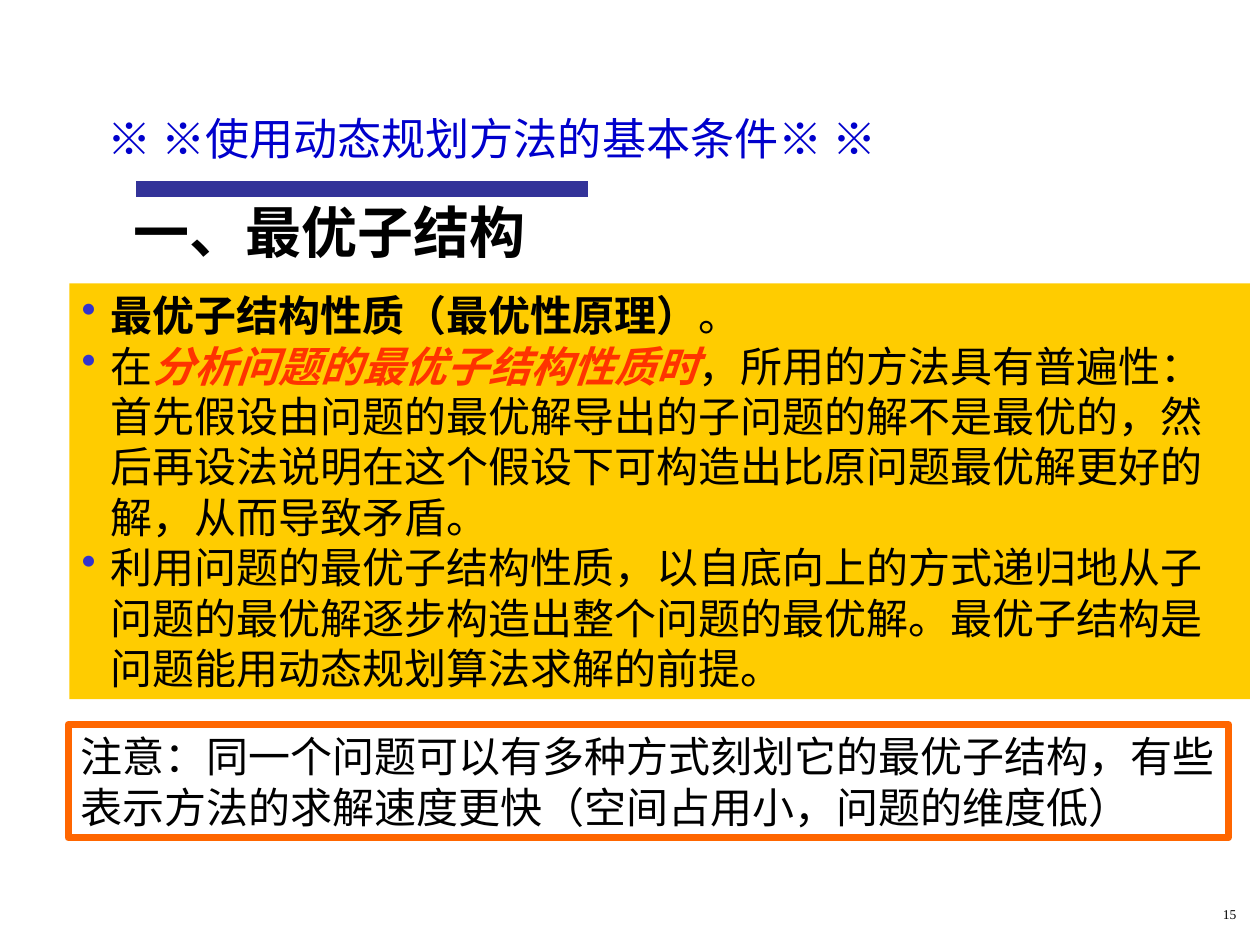
"""Build a slide on optimal substructure in dynamic programming."""
from dataclasses import dataclass, field
from typing import Optional

from lxml import etree
from pptx import Presentation, util as u
from pptx.dml.color import RGBColor
from pptx.enum import shapes, text
from pptx.oxml import ns

BLACK = RGBColor(0, 0, 0)
WHITE = RGBColor(255, 255, 255)
NAVY = RGBColor(0x33, 0x33, 0x99)
BLUE = RGBColor(0, 0, 0xCC)
DOT = RGBColor(0x33, 0x33, 0xCC)
GOLD = RGBColor(0xFF, 0xCC, 0)
RED = RGBColor(0xFF, 0x33, 0)
ORANGE = RGBColor(0xFF, 0x66, 0)
HANG = 0.23


@dataclass
class Run:
    words: str
    color: RGBColor = BLACK
    bold: bool = False
    italic: bool = False


@dataclass
class Block:
    area: tuple[float, float, float, float]
    paras: list[list[Run]]
    size: float = 24
    fill: Optional[RGBColor] = None
    line: Optional[RGBColor] = None
    bullet: bool = False
    font: str = "Arial"
    para: dict = field(default_factory=dict)
    frame: dict = field(default_factory=dict)


TITLE = Block(
    (0.75, 0.85, 9, 0.57),
    [[Run("※ ※使用动态规划方法的基本条件※ ※", BLUE)]],
    size=25.2,
    para={"line_spacing": 0.8},
    frame={"vertical_anchor": text.MSO_ANCHOR.MIDDLE},
)
GROW = {"auto_size": text.MSO_AUTO_SIZE.SHAPE_TO_FIT_TEXT}
BLOCKS = [
    Block(
        (0.96, 1.58, 3.75, 0.58),
        [[Run("一、最优子结构", bold=True)]],
        size=32,
        para={"line_spacing": 0.9},
    ),
    Block(
        (0.55, 2.25, 9.37, 3.3),
        [
            [Run("最优子结构性质（最优性原理）", bold=True), Run("。")],
            [
                Run("在"),
                Run("分析问题的最优子结构性质时", RED, True, True),
                Run("，所用的方法具有普遍性：首先假设由问题的最优解导出的子问题的解"
                    "不是最优的，然后再设法说明在这个假设下可构造出比原问题最优解"
                    "更好的解，从而导致矛盾。"),
            ],
            [Run("利用问题的最优子结构性质，以自底向上的方式递归地从子问题的最优解"
                 "逐步构造出整个问题的最优解。最优子结构是问题能用动态规划算法"
                 "求解的前提。")],
        ],
        fill=GOLD,
        bullet=True,
        frame=GROW,
    ),
    Block(
        (0.54, 5.75, 9.21, 0.9),
        [[Run("注意：同一个问题可以有多种方式刻划它的最优子结构，有些表示方法的"
              "求解速度更快（空间占用小，问题的维度低）")]],
        fill=WHITE,
        line=ORANGE,
        frame=GROW,
    ),
    Block(
        (7.83, 7.17, 2.08, 0.25),
        [[Run("15")]],
        size=7.7,
        font="Times New Roman",
        para={"alignment": text.PP_ALIGN.RIGHT, "line_spacing": 0.8},
    ),
]


def put(item, values: dict) -> None:
    """Set each named attribute on the item."""
    for name, value in values.items():
        setattr(item, name, value)


def add_dot(para) -> None:
    """Give the paragraph a hanging coloured bullet."""
    props = para._p.get_or_add_pPr()
    props.set("marL", str(u.Inches(HANG)))
    props.set("indent", str(-u.Inches(HANG)))
    tint = etree.SubElement(props, ns.qn("a:buClr"))
    etree.SubElement(tint, ns.qn("a:srgbClr")).set("val", str(DOT))
    etree.SubElement(props, ns.qn("a:buChar")).set("char", "•")


def write(frame, block: Block) -> None:
    """Fill the text frame with the block's paragraphs."""
    put(frame, {
        "word_wrap": True,
        "auto_size": text.MSO_AUTO_SIZE.NONE,
        "vertical_anchor": text.MSO_ANCHOR.TOP,
        "margin_left": u.Inches(0.1),
        "margin_right": u.Inches(0.1),
        "margin_top": u.Inches(0.05),
        "margin_bottom": u.Inches(0.05),
        **block.frame,
    })
    for num, runs in enumerate(block.paras):
        para = frame.add_paragraph() if num else frame.paragraphs[0]
        if block.bullet:
            add_dot(para)
        put(para, {"alignment": text.PP_ALIGN.LEFT, **block.para})
        for part in runs:
            run = para.add_run()
            run.text = part.words
            put(run.font, {
                "name": block.font,
                "size": u.Pt(block.size),
                "bold": part.bold,
                "italic": part.italic,
            })
            run.font.color.rgb = part.color


def add_block(slide, block: Block) -> None:
    """Draw a filled box, or a plain text box if there is no fill."""
    area = [u.Inches(x) for x in block.area]
    if block.fill is None:
        shape = slide.shapes.add_textbox(*area)
    else:
        shape = slide.shapes.add_shape(shapes.MSO_SHAPE.RECTANGLE, *area)
        shape.shadow.inherit = False
        shape.fill.solid()
        shape.fill.fore_color.rgb = block.fill
        if block.line is None:
            shape.line.fill.background()
        else:
            shape.line.color.rgb = block.line
            shape.line.width = u.Pt(4)
    write(shape.text_frame, block)


def add_rule(slide) -> None:
    """Draw the thick rule under the title."""
    ends = [u.Inches(x) for x in (1.08, 1.5, 4.67, 1.5)]
    rule = slide.shapes.add_connector(shapes.MSO_CONNECTOR.STRAIGHT, *ends)
    rule.line.color.rgb = NAVY
    rule.line.width = u.Pt(9.5)
    etree.SubElement(rule._element.spPr, ns.qn("a:effectLst"))


def main() -> None:
    """Build and save the slide."""
    deck = Presentation()
    put(deck, {"slide_width": u.Inches(10), "slide_height": u.Inches(7.5)})
    slide = deck.slides.add_slide(deck.slide_layouts[5])
    title = slide.shapes.title
    sides = ("left", "top", "width", "height")
    put(title, dict(zip(sides, map(u.Inches, TITLE.area))))
    write(title.text_frame, TITLE)
    add_rule(slide)
    for block in BLOCKS:
        add_block(slide, block)
    deck.save("out.pptx")


if __name__ == "__main__":
    main()
